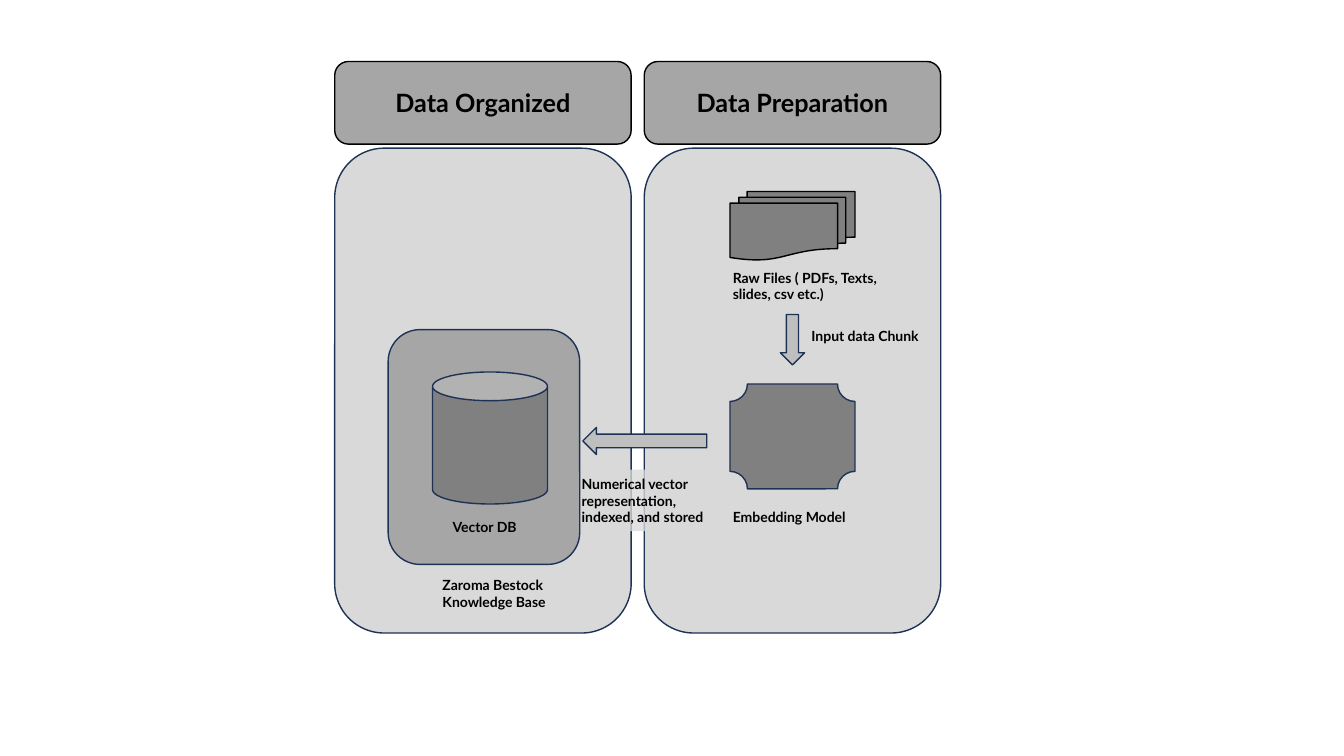
from dataclasses import dataclass
from typing import Optional

import lxml.etree
import pptx
import pptx.dml.color
import pptx.enum.shapes
import pptx.enum.text
import pptx.oxml.ns
import pptx.util

RGBColor = pptx.dml.color.RGBColor
Form = pptx.enum.shapes.MSO_SHAPE
Align = pptx.enum.text.PP_ALIGN

BLACK = RGBColor(0x00, 0x00, 0x00)
NAVY = RGBColor(0x1E, 0x32, 0x56)
DARK_GRAY = RGBColor(0x80, 0x80, 0x80)
GRAY = RGBColor(0xA6, 0xA6, 0xA6)
ARROW_GRAY = RGBColor(0xBF, 0xBF, 0xBF)
LIGHT_GRAY = RGBColor(0xD9, 0xD9, 0xD9)

FONT = "Lato"
PX = 9144  # 100 px to the inch
LABEL_WIDTH = 172


@dataclass(frozen=True)
class Block:
    form: Form
    left: int
    top: int
    width: int
    height: int
    fill: RGBColor
    line: Optional[RGBColor] = NAVY
    rotation: int = 0
    opacity: int = 100


@dataclass(frozen=True)
class Label:
    text: str
    left: int
    top: int
    height: int = 27


@dataclass(frozen=True)
class Column:
    title: str
    left: int
    width: int = 294


COLUMNS = [Column("Data Organized", 332), Column("Data Preparation", 639)]

PREPARATION = [
    Block(Form.FLOWCHART_MULTIDOCUMENT, 724, 190, 124, 68, DARK_GRAY, BLACK),
    Block(Form.PLAQUE, 724, 381, 124, 104, DARK_GRAY),
    Block(Form.DOWN_ARROW, 774, 312, 24, 50, ARROW_GRAY),
    Block(Form.DOWN_ARROW, 626, 376, 27, 123, ARROW_GRAY, rotation=90),
]
VECTOR_NOTE = Block(Form.RECTANGLE, 567, 466, 151, 61, LIGHT_GRAY, None, opacity=78)
KNOWLEDGE_BASE = [
    Block(Form.ROUNDED_RECTANGLE, 385, 327, 190, 233, GRAY),
    Block(Form.CAN, 429, 369, 114, 131, DARK_GRAY),
]
LABELS = [
    Label("Raw Files ( PDFs, Texts, slides, csv etc.)", 717, 262, 44),
    Label("Embedding Model", 717, 500),
    Label("Input data Chunk", 795, 320),
    Label("Vector DB", 439, 509),
    Label("Zaroma Bestock Knowledge Base", 429, 567, 44),
]


def px(length: int) -> pptx.util.Emu:
    return pptx.util.Emu(length * PX)


def write(shape, text: str, size: int, align: Align) -> None:
    frame = shape.text_frame
    frame.word_wrap = True
    para = frame.paragraphs[0]
    para.text = text
    para.alignment = align
    para.font.name = FONT
    para.font.size = pptx.util.Pt(size)
    para.font.bold = True
    para.font.color.rgb = BLACK


def write_label(shape, text: str) -> None:
    write(shape, text, 10, Align.LEFT)
    shape.text_frame.auto_size = pptx.enum.text.MSO_AUTO_SIZE.SHAPE_TO_FIT_TEXT


def draw_block(page, block: Block):
    shape = page.shapes.add_shape(
        block.form, px(block.left), px(block.top), px(block.width), px(block.height)
    )
    shape.shadow.inherit = False
    shape.rotation = block.rotation
    shape.fill.solid()
    shape.fill.fore_color.rgb = block.fill
    if block.opacity < 100:
        color = shape._element.spPr.xpath("a:solidFill/a:srgbClr")[0]
        alpha = lxml.etree.SubElement(color, pptx.oxml.ns.qn("a:alpha"))
        alpha.set("val", str(block.opacity * 1000))
    if block.line is None:
        shape.line.fill.background()
    else:
        shape.line.color.rgb = block.line
        shape.line.width = pptx.util.Pt(1)
    return shape


def draw_column(page, column: Column) -> None:
    form = Form.ROUNDED_RECTANGLE
    header = draw_block(page, Block(form, column.left, 61, column.width, 82, GRAY, BLACK))
    write(header, column.title, 18, Align.CENTER)
    draw_block(page, Block(form, column.left, 147, column.width, 481, LIGHT_GRAY))


def draw_label(page, label: Label) -> None:
    box = page.shapes.add_textbox(
        px(label.left), px(label.top), px(LABEL_WIDTH), px(label.height)
    )
    write_label(box, label.text)


def main() -> None:
    deck = pptx.Presentation()
    deck.slide_width, deck.slide_height = px(1333), px(750)
    page = deck.slides.add_slide(deck.slide_layouts[6])

    # Column headers and panels
    for column in COLUMNS:
        draw_column(page, column)

    # Files, model and arrows
    for block in PREPARATION:
        draw_block(page, block)

    # Translucent note between the columns
    note = draw_block(page, VECTOR_NOTE)
    write_label(note, "Numerical vector representation, indexed, and stored")

    # Vector store
    for block in KNOWLEDGE_BASE:
        draw_block(page, block)

    # Captions
    for label in LABELS:
        draw_label(page, label)

    deck.save("out.pptx")


if __name__ == "__main__":
    main()
